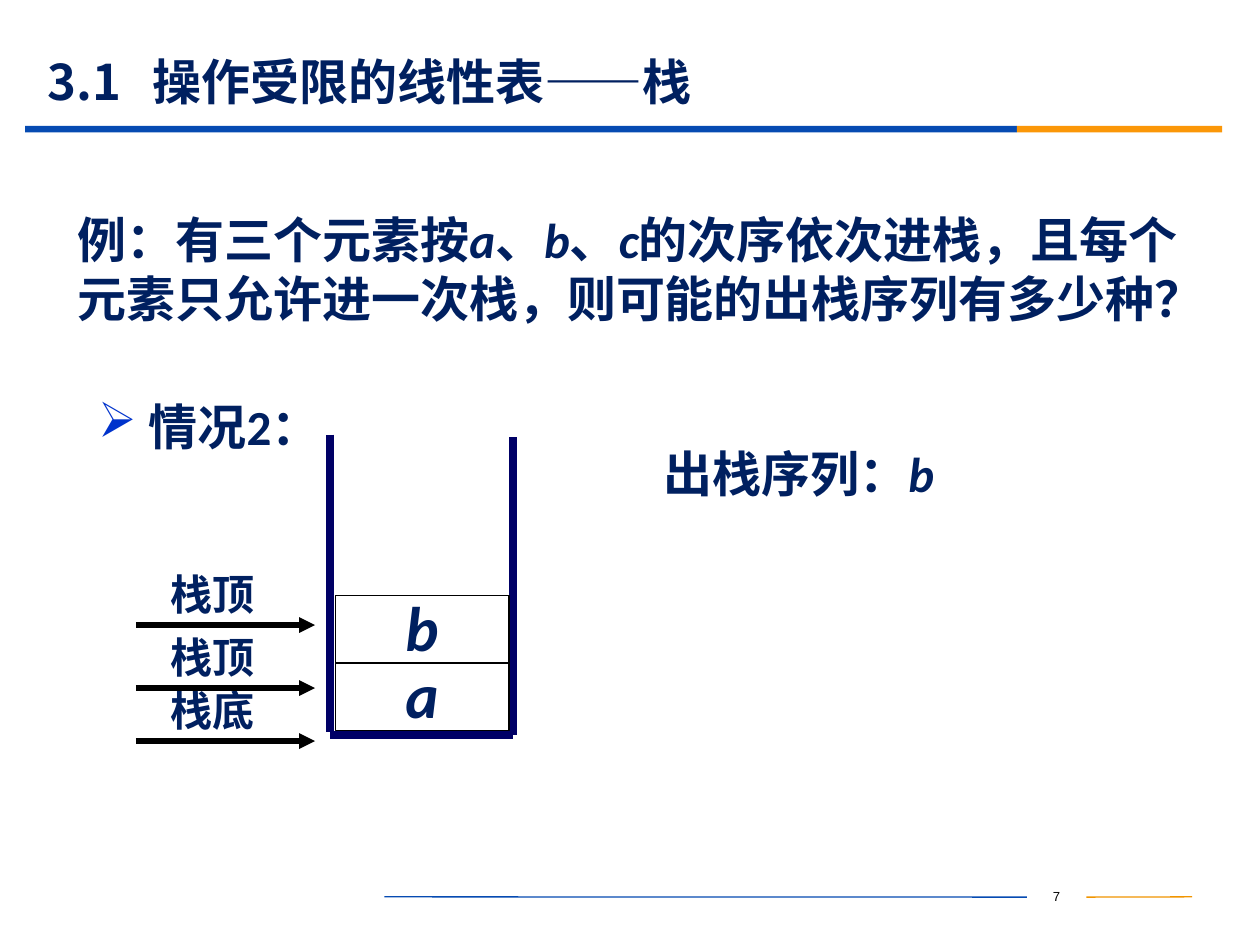
from lxml.etree import SubElement as Sub
from pptx import Presentation
from pptx.dml.color import RGBColor as RGB
from pptx.enum.shapes import MSO_CONNECTOR as Link, MSO_SHAPE as Kind
from pptx.enum.text import MSO_ANCHOR as Anchor, PP_ALIGN as Align
from pptx.oxml.ns import qn
from pptx.util import Cm, Pt

HUES = {"ink": "002060", "wall": "000066", "black": "000000", "blue": "064BB2",
        "gold": "FB9708", "amber": "F19500", "mark": "0033CC"}


class Deck:
    """Holds the style and the current slide, and draws each kind of element."""

    def __init__(self, wide, high):
        self.prs = Presentation()
        self.prs.slide_width, self.prs.slide_height = Cm(wide), Cm(high)
        self.slide = self.prs.slides.add_slide(self.prs.slide_layouts[6])
        self.shapes = self.slide.shapes
        self.face = "Calibri"

    def hue(self, name):
        return RGB.from_string(HUES[name])

    def label(self, shape, runs, size, face=None, hue="ink", bold=True,
              align=Align.LEFT, pad=(0.25, 0.13, 0.25, 0.13), wrap=True,
              anchor=Anchor.TOP, tab=None, mark=None):
        frame = shape.text_frame
        frame.word_wrap, frame.vertical_anchor = wrap, anchor
        (frame.margin_left, frame.margin_top,
         frame.margin_right, frame.margin_bottom) = map(Cm, pad)
        para = frame.paragraphs[0]
        para.alignment = align
        props = para._p.get_or_add_pPr()
        if tab:
            stops = Sub(props, qn("a:tabLst"))
            Sub(stops, qn("a:tab"), pos=str(Cm(tab)), algn="l")
        if mark:
            props.set("marL", str(Cm(1.02)))
            props.set("indent", str(-Cm(1.02)))
            tint = Sub(props, qn("a:buClr"))
            Sub(tint, qn("a:srgbClr"), val=HUES["mark"])
            Sub(props, qn("a:buChar"), char=mark)
        for text, slant in runs:
            run = para.add_run()
            run.text = text
            font = run.font
            font.name, font.size = face or self.face, Pt(size)
            font.bold, font.italic = bold, slant
            font.color.rgb = self.hue(hue)
            Sub(run._r.get_or_add_rPr(), qn("a:ea"), typeface=face or self.face)

    def text(self, box, runs, size, on=None, **style):
        shape = (on or self.shapes).add_textbox(*map(Cm, box))
        self.label(shape, runs, size, **style)
        return shape

    def rect(self, box, fill=None, line=None):
        shape = self.shapes.add_shape(Kind.RECTANGLE, *map(Cm, box))
        shape.shadow.inherit = False
        if fill:
            shape.fill.solid()
            shape.fill.fore_color.rgb = self.hue(fill)
        else:
            shape.fill.background()
        if line:
            shape.line.color.rgb = self.hue(line)
            shape.line.width = Pt(0.75)
        else:
            shape.line.fill.background()
        return shape

    def line(self, ends, hue, width, on=None, head=False):
        link = (on or self.shapes).add_connector(Link.STRAIGHT, *map(Cm, ends))
        link.line.color.rgb, link.line.width = self.hue(hue), Pt(width)
        props = link._element.spPr
        if head:
            Sub(props.get_or_add_ln(), qn("a:tailEnd"), type="triangle")
        Sub(props, qn("a:effectLst"))
        return link

    def arrow(self, top, name):
        group = self.shapes.add_group_shape().shapes
        base = top + 1.27
        self.line((2.74, base, 6.35, base), "black", 3, group, True)
        self.text((3.18, top, 2.54, 1.27), [(name, False)], 24, group)

    def cell(self, top, name):
        shape = self.rect((6.76, top, 3.5, 1.37), line="black")
        self.label(shape, [(name, True)], 36, align=Align.CENTER, wrap=False,
                   pad=(0.25, 0, 0.25, 0.13), anchor=Anchor.MIDDLE)


def main():
    deck = Deck(25.4, 19.05)
    page = deck.text((20.7, 17.77, 1.2, 0.63), [("7", False)], 7.5, face="Arial",
                     hue="black", bold=False, align=Align.CENTER)
    deck.line((21.9, 18.08, 24.03, 18.08), "amber", 0.75).begin_connect(page, 3)
    deck.line((7.75, 18.08, 20.7, 18.08), "blue", 0.75).end_connect(page, 1)
    deck.rect((0.51, 2.54, 19.99, 0.13), "blue")
    deck.rect((20.5, 2.54, 4.14, 0.13), "gold")

    deck.text((0.71, 1.09, 22.86, 1.09), [("3.1\t操作受限的线性表——栈", False)], 28,
              face="Noto Sans CJK SC", anchor=Anchor.MIDDLE, tab=2.12)
    deck.text((1.57, 4.09, 23.01, 2.62), [
        ("例：有三个元素按", False), ("a", True), ("、", False), ("b", True),
        ("、", False), ("c", True),
        ("的次序依次进栈，且每个元素只允许进一次栈，则可能的出栈序列有多少种？", False),
    ], 28, pad=(0, 0.13, 0, 0.13))

    for ends in ((6.65, 8.76, 6.65, 14.76), (6.65, 14.81, 10.34, 14.81),
                 (10.34, 8.81, 10.34, 14.81)):
        deck.line(ends, "wall", 4.5)
    for top, name in ((13.67, "栈底"), (12.6, "栈顶"), (11.33, "栈顶")):
        deck.arrow(top, name)
    for step, name in enumerate("ab"):
        deck.cell(13.36 - 1.35 * step, name)

    deck.text((1.73, 7.87, 5.99, 1.45), [("情况2：", False)], 28, mark="➢")
    deck.text((13.13, 8.81, 9.75, 1.45), [("出栈序列：", False), ("b", True)], 28)
    deck.prs.save("out.pptx")


if __name__ == "__main__":
    main()
